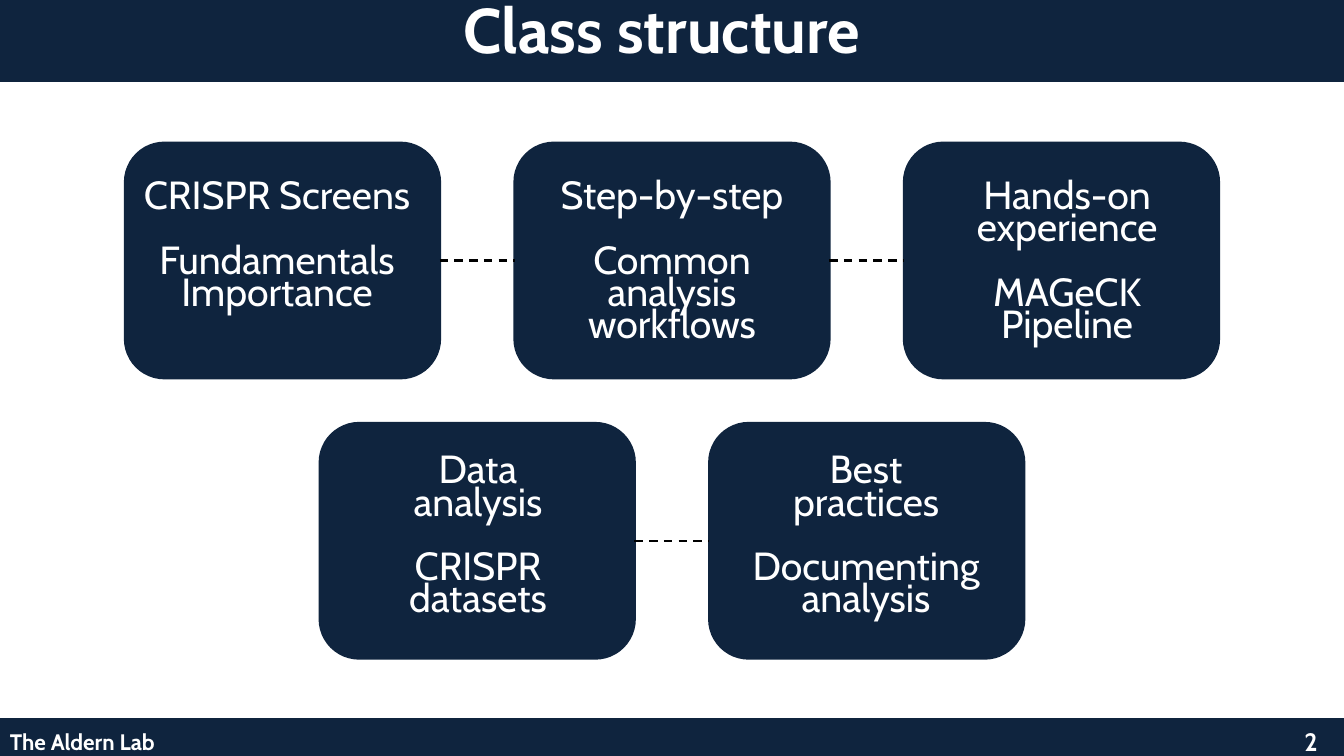
from lxml import etree
from pptx import Presentation
from pptx import util as u
from pptx.dml.color import RGBColor
from pptx.enum import dml, shapes, text
from pptx.oxml import ns

NAVY, WHITE, BLACK = "0F243E", "FFFFFF", "000000"
SLIDE_WIDTH, SLIDE_HEIGHT = 960, 540
CARD_WIDTH, CARD_HEIGHT, CARD_STEP = 224.6, 167.8, 278.2
LABEL_WIDTH, LABEL_HEIGHT = 209.5, 123

ROWS = [
    {"top": 102.2, "label_top": 128.9, "label_step": 282.2, "cards": [
        (["CRISPR Screens"], ["Fundamentals", "Importance"]),
        (["Step-by-step"], ["Common analysis workflows"]),
        (["Hands-on", "experience"], ["MAGeCK", "Pipeline"]),
    ]},
    {"top": 302.4, "label_top": 324.7, "label_step": 277.2, "cards": [
        (["Data", "analysis"], ["CRISPR", "datasets"]),
        (["Best", "practices"], ["Documenting", "analysis"]),
    ]},
]


def color(value):
    return RGBColor.from_string(value)


def apply(target, values):
    for name, value in values.items():
        setattr(target, name, value)


def centered_left(index, count, step, width):
    return SLIDE_WIDTH / 2 + (index - (count - 1) / 2) * step - width / 2


class SlideBuilder:
    font_name = "Cabin"
    line_spacing = u.Pt(23)

    def __init__(self, presentation):
        self.slide = presentation.slides.add_slide(presentation.slide_layouts[5])

    def box(self, kind, left, top, width, height):
        shape = self.slide.shapes.add_shape(
            kind, u.Pt(left), u.Pt(top), u.Pt(width), u.Pt(height))
        shape.shadow.inherit = False
        shape.fill.solid()
        shape.fill.fore_color.rgb = color(NAVY)
        shape.line.color.rgb = color(NAVY)
        shape.line.width = u.Pt(2)
        return shape

    def fill_text(self, shape, groups, size, bold=False, align=text.PP_ALIGN.CENTER):
        frame = shape.text_frame
        apply(frame, {"word_wrap": True, "auto_size": text.MSO_AUTO_SIZE.NONE,
                      "vertical_anchor": text.MSO_ANCHOR.TOP})
        lines = [(line, group_index > 0 and line_index == 0)
                 for group_index, group in enumerate(groups)
                 for line_index, line in enumerate(group)]
        for index, (line, starts_group) in enumerate(lines):
            paragraph = frame.add_paragraph() if index else frame.paragraphs[0]
            apply(paragraph, {
                "alignment": align, "line_spacing": self.line_spacing,
                "space_before": self.line_spacing if starts_group else u.Pt(0)})
            run = paragraph.add_run()
            run.text = line
            apply(run.font, {"name": self.font_name, "size": u.Pt(size), "bold": bold})
            run.font.color.rgb = color(WHITE)

    def label(self, groups, left, top, width, height, size, **style):
        shape = self.slide.shapes.add_textbox(
            u.Pt(left), u.Pt(top), u.Pt(width), u.Pt(height))
        self.fill_text(shape, groups, size, **style)

    def title(self, wording, left, top, width, height, size):
        shape = self.slide.shapes.title
        apply(shape, {"left": u.Pt(left), "top": u.Pt(top),
                      "width": u.Pt(width), "height": u.Pt(height)})
        self.fill_text(shape, [[wording]], size, bold=True)
        self.slide.shapes.element.append(shape.element)

    def dashed_link(self, first, second):
        connector = self.slide.shapes.add_connector(
            shapes.MSO_CONNECTOR.STRAIGHT, 0, 0, 0, 0)
        connector.begin_connect(first, 3)
        connector.end_connect(second, 1)
        connector.line.color.rgb = color(BLACK)
        apply(connector.line, {"width": u.Pt(1.5), "dash_style": dml.MSO_LINE.DASH})
        etree.SubElement(connector.element.spPr, ns.qn("a:effectLst"))

    def card_row(self, top, label_top, label_step, cards):
        count = len(cards)
        boxes = [self.box(shapes.MSO_SHAPE.ROUNDED_RECTANGLE,
                          centered_left(index, count, CARD_STEP, CARD_WIDTH),
                          top, CARD_WIDTH, CARD_HEIGHT)
                 for index in range(count)]
        for first, second in zip(boxes, boxes[1:]):
            self.dashed_link(first, second)
        for index, groups in enumerate(cards):
            left = centered_left(index, count, label_step, LABEL_WIDTH)
            self.label(groups, left, label_top, LABEL_WIDTH, LABEL_HEIGHT, 28)


def main():
    presentation = Presentation()
    apply(presentation, {"slide_width": u.Pt(SLIDE_WIDTH),
                         "slide_height": u.Pt(SLIDE_HEIGHT)})
    builder = SlideBuilder(presentation)
    for top, height in ((0, 57.6), (514.1, 25.9)):
        builder.box(shapes.MSO_SHAPE.RECTANGLE, 0, top, SLIDE_WIDTH, height)
    builder.title("Class structure", -15.1, 20.9, 975.6, 33.8, 45)
    builder.label([["The Aldern Lab"]], 0, 512.6, 149, 28, 16,
                  bold=True, align=text.PP_ALIGN.LEFT)
    builder.label([["2"]], 913, 514.1, 46.8, 28, 18, bold=True)
    for row in ROWS:
        builder.card_row(**row)
    presentation.save("out.pptx")


if __name__ == "__main__":
    main()
